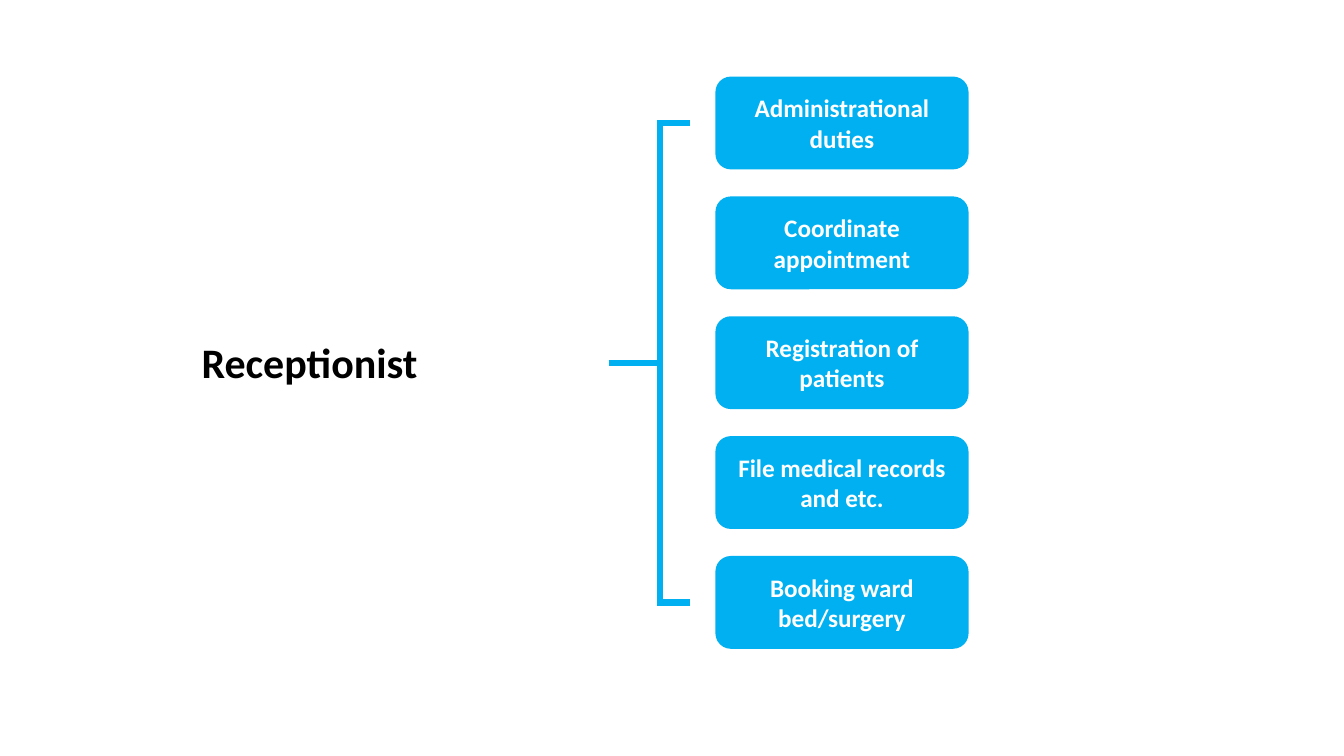
from lxml import etree
from pptx import Presentation
from pptx import util as u
from pptx.dml import color
from pptx.enum import shapes, text
from pptx.oxml import ns


def rgb(code):
    return color.RGBColor.from_string(code)


class Chart:
    font = "Calibri"
    blue = "00B0F0"
    white = "FFFFFF"
    black = "000000"

    def __init__(self, slide):
        self.items = slide.shapes

    def words(self, frame, phrase, size, shade, align):
        para = frame.paragraphs[0]
        para.alignment = align
        run = para.add_run()
        run.text = phrase
        run.font.name = self.font
        run.font.size = u.Pt(size)
        run.font.bold = True
        run.font.color.rgb = rgb(shade)

    def box(self, phrase, left, top, wide, high):
        card = self.items.add_shape(
            shapes.MSO_SHAPE.ROUNDED_RECTANGLE,
            u.Cm(left), u.Cm(top), u.Cm(wide), u.Cm(high))
        card.shadow.inherit = False
        card.fill.solid()
        card.fill.fore_color.rgb = rgb(self.blue)
        card.line.fill.background()
        frame = card.text_frame
        frame.word_wrap = True
        frame.vertical_anchor = text.MSO_ANCHOR.MIDDLE
        self.words(frame, phrase, 18, self.white, text.PP_ALIGN.CENTER)

    def line(self, x1, y1, x2, y2):
        link = self.items.add_connector(
            shapes.MSO_CONNECTOR.STRAIGHT,
            u.Cm(x1), u.Cm(y1), u.Cm(x2), u.Cm(y2))
        link.line.color.rgb = rgb(self.blue)
        link.line.width = u.Pt(4.5)
        etree.SubElement(link._element.spPr, ns.qn("a:effectLst"))

    def label(self, phrase, left, top, wide, high):
        note = self.items.add_textbox(
            u.Cm(left), u.Cm(top), u.Cm(wide), u.Cm(high))
        frame = note.text_frame
        frame.word_wrap = False
        frame.auto_size = text.MSO_AUTO_SIZE.SHAPE_TO_FIT_TEXT
        self.words(frame, phrase, 30, self.black, text.PP_ALIGN.LEFT)


def main():
    deck = Presentation()
    deck.slide_width = u.Cm(33.87)
    deck.slide_height = u.Cm(19.05)
    chart = Chart(deck.slides.add_slide(deck.slide_layouts[6]))

    duties = [
        "Administrational duties",
        "Coordinate appointment",
        "Registration of patients",
        "File medical records and etc.",
        "Booking ward bed/surgery",
    ]
    top, high, step = 1.93, 2.34, 3.02
    for row, duty in enumerate(duties):
        chart.box(duty, 18.03, top + row * step, 6.38, high)

    first = top + high / 2
    last = first + (len(duties) - 1) * step
    middle = (first + last) / 2
    stem, edge = 16.64, 16.56
    chart.line(15.34, middle, edge, middle)
    for level in (first, last):
        chart.line(edge, level, 17.4, level)
    chart.line(stem, first - 0.05, stem, last)

    chart.label("Receptionist", 4.83, 8.36, 6.93, 1.55)
    deck.save("out.pptx")


if __name__ == "__main__":
    main()
